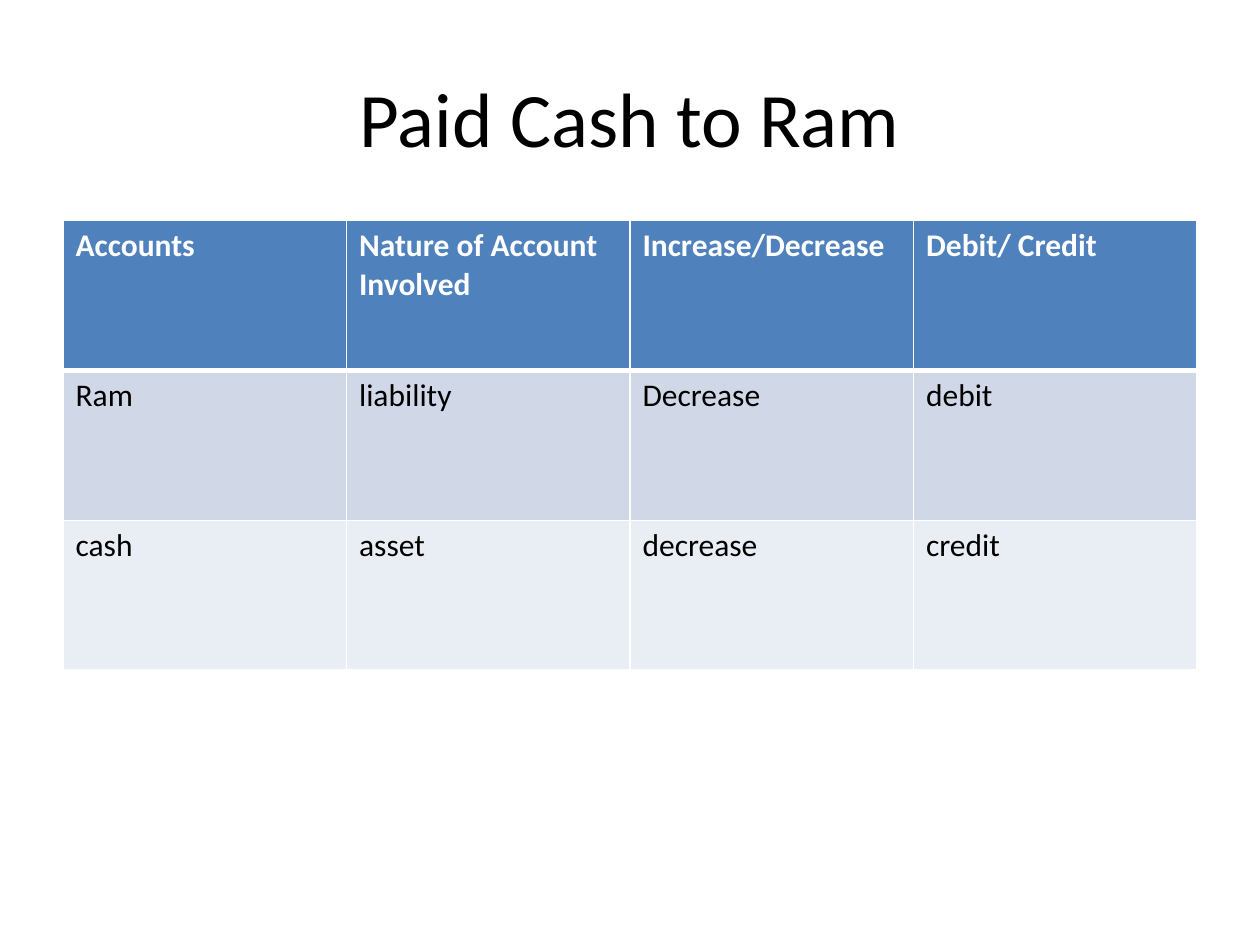
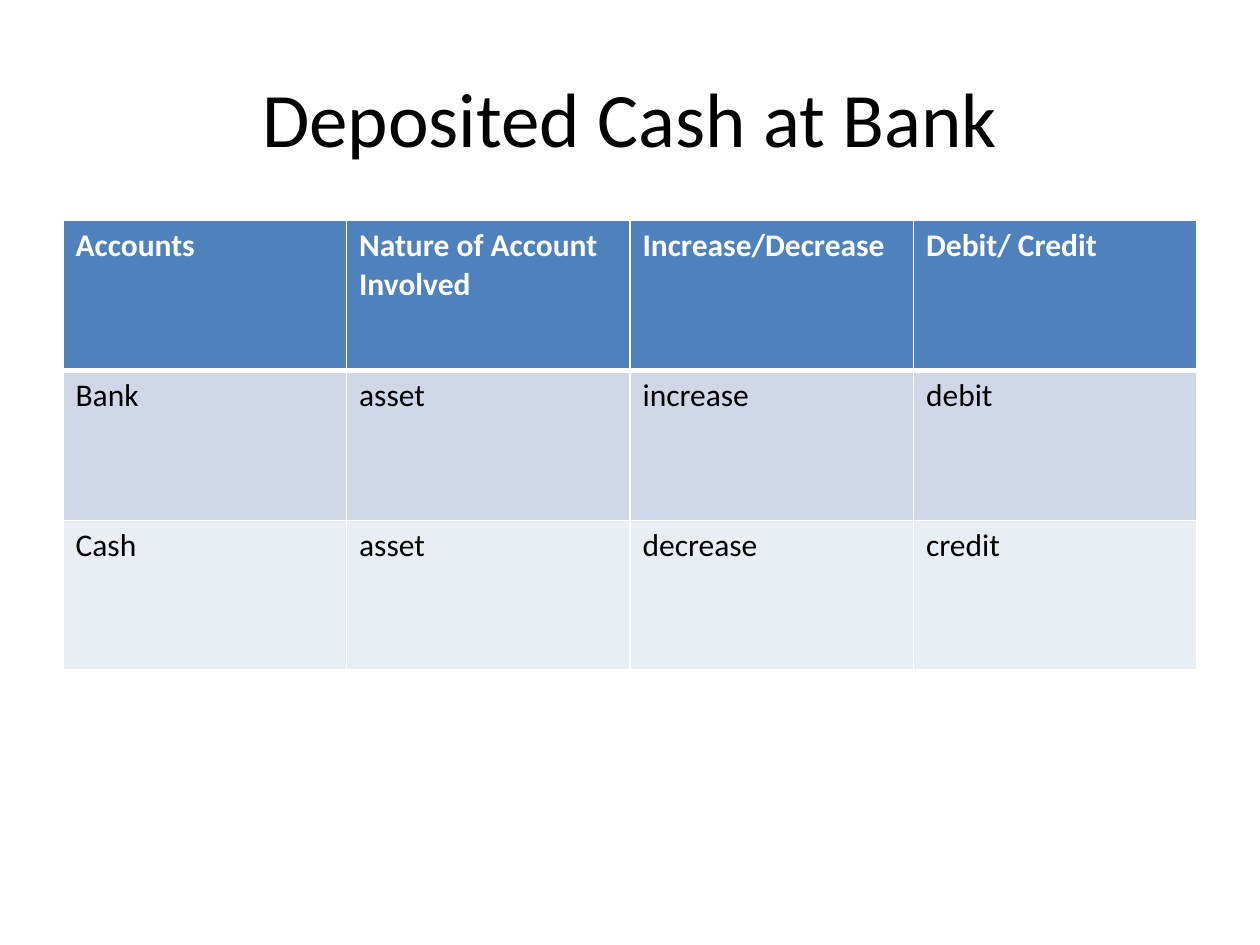
from lxml.etree import SubElement
from pptx import Presentation
from pptx.dml.color import RGBColor
from pptx.enum.text import MSO_ANCHOR, PP_ALIGN
from pptx.oxml.ns import qn
from pptx.util import Inches, Pt

# Content
HEADERS = ["Accounts", "Nature of Account Involved", "Increase/Decrease", "Debit/ Credit"]
TRANSACTIONS = [
    ("Paid Cash to Ram", [
        ["Ram", "liability", "Decrease", "debit"],
        ["cash", "asset", "decrease", "credit"],
    ]),
    ("Deposited Cash at Bank", [
        ["Bank", "asset", "increase", "debit"],
        ["Cash", "asset", "decrease", "credit"],
    ]),
]

# Shared style
FONT = "Calibri"
BLACK = RGBColor(0x00, 0x00, 0x00)
WHITE = RGBColor(0xFF, 0xFF, 0xFF)
HEADER_BLUE = RGBColor(0x4F, 0x81, 0xBD)
BANDS = [RGBColor(0xD0, 0xD8, 0xE8), RGBColor(0xE9, 0xED, 0xF4)]
LEFT, WIDTH = 0.5, 9
TITLE_TOP, TITLE_HEIGHT = 0.3, 1.25
TABLE_TOP, ROW_HEIGHT = 1.75, 1.19


def write(frame, text, size=18, color=BLACK, bold=False, align=PP_ALIGN.LEFT):
    para = frame.paragraphs[0]
    para.alignment = align
    span = para.add_run()
    span.text = text
    span.font.name = FONT
    span.font.size = Pt(size)
    span.font.bold = bold
    span.font.color.rgb = color


def add_borders(cell, top, bottom):
    properties = cell._tc.get_or_add_tcPr()
    for side, points in (("lnL", 1), ("lnR", 1), ("lnT", top), ("lnB", bottom)):
        line = SubElement(properties, qn(f"a:{side}"), w=str(Pt(points)))
        fill = SubElement(line, qn("a:solidFill"))
        SubElement(fill, qn("a:srgbClr"), val=str(WHITE))


def add_title(page, text):
    box = page.shapes.add_textbox(Inches(LEFT), Inches(TITLE_TOP),
                                  Inches(WIDTH), Inches(TITLE_HEIGHT))
    frame = box.text_frame
    frame.word_wrap = True
    frame.vertical_anchor = MSO_ANCHOR.MIDDLE
    write(frame, text, size=44, align=PP_ALIGN.CENTER)


def add_account_table(page, entries):
    rows = [HEADERS] + entries
    table = page.shapes.add_table(len(rows), len(HEADERS), Inches(LEFT), Inches(TABLE_TOP),
                                  Inches(WIDTH), Inches(ROW_HEIGHT * len(rows))).table
    for row_index, row in enumerate(rows):
        header = row_index == 0
        band = HEADER_BLUE if header else BANDS[(row_index - 1) % len(BANDS)]
        for column_index, text in enumerate(row):
            cell = table.cell(row_index, column_index)
            # The rule under the header is thicker than the other borders
            add_borders(cell, top=3 if row_index == 1 else 1, bottom=3 if header else 1)
            cell.fill.solid()
            cell.fill.fore_color.rgb = band
            write(cell.text_frame, text, color=WHITE if header else BLACK, bold=header)


def main():
    deck = Presentation()
    deck.slide_width, deck.slide_height = Inches(10), Inches(7.5)
    for title, entries in TRANSACTIONS:
        page = deck.slides.add_slide(deck.slide_layouts[6])
        add_title(page, title)
        add_account_table(page, entries)
    deck.save("out.pptx")


if __name__ == "__main__":
    main()
